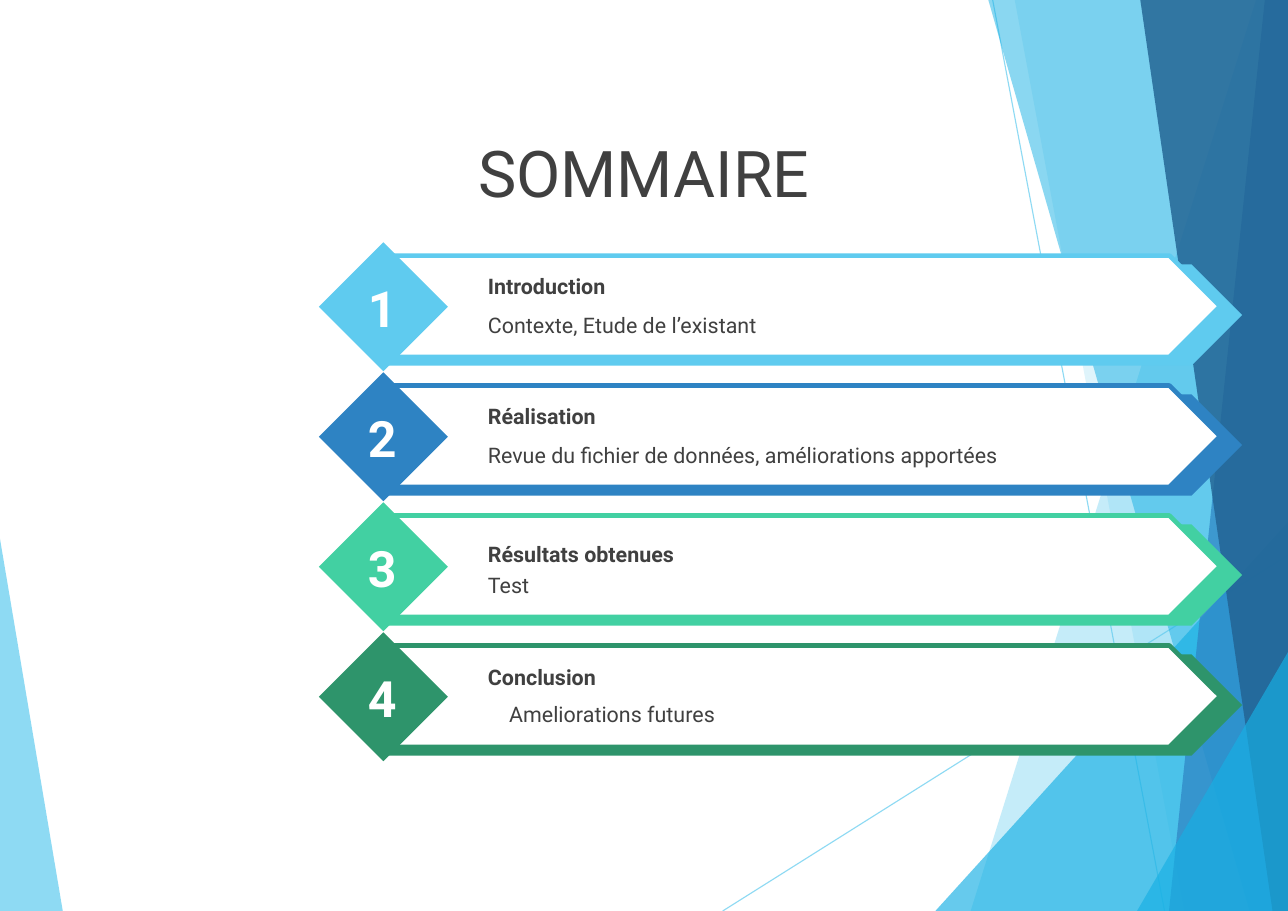
from pptx import Presentation
from pptx.dml.color import RGBColor
from pptx.enum.shapes import MSO_CONNECTOR, MSO_SHAPE
from pptx.enum.text import MSO_ANCHOR, PP_ALIGN
from pptx.oxml.ns import qn
from pptx.util import Inches, Pt

STRAIGHT = MSO_CONNECTOR.STRAIGHT
PENTAGON = MSO_SHAPE.PENTAGON
DIAMOND = MSO_SHAPE.DIAMOND
TOP, MIDDLE = MSO_ANCHOR.TOP, MSO_ANCHOR.MIDDLE
LEFT, CENTER = PP_ALIGN.LEFT, PP_ALIGN.CENTER

COLUMNS, ROWS = 116.9, 82.7
WHITE, DARK = "FFFFFF", "404040"
SKY, AZURE, BLUE, NAVY = "5FCBEF", "17B0E4", "2E83C3", "226292"
MINT, GREEN = "42D0A2", "2E946B"

FACETS = [
    (SKY, 36, [(114, 0), (88.1, ROWS), (COLUMNS, ROWS), (COLUMNS, 0)]),
    (SKY, 20, [(92.1, 0), (107.5, ROWS), (COLUMNS, ROWS), (COLUMNS, 0)]),
    (AZURE, 66, [(84.9, ROWS), (COLUMNS, 47.4), (COLUMNS, ROWS)]),
    (AZURE, 50, [(89.7, 0), (113.4, ROWS), (COLUMNS, ROWS), (COLUMNS, 0)]),
    (BLUE, 70, [(114.8, 0), (106.1, ROWS), (COLUMNS, ROWS), (COLUMNS, 0)]),
    (NAVY, 82, [(103.5, 0), (115.5, ROWS), (COLUMNS, ROWS), (COLUMNS, 0)]),
    (AZURE, 66, [(103.2, ROWS), (COLUMNS, 59.2), (COLUMNS, ROWS)]),
]
CHAPTERS = [
    (SKY, "Introduction", 2.3, "Contexte, Etude de l’existant", 0),
    (BLUE, "Réalisation", 2.3,
     "Revue du fichier de données, améliorations apportées", 0),
    (MINT, "Résultats obtenues", 3, "Test", 0),
    (GREEN, "Conclusion", 2.4, "Ameliorations futures", 1.92),
]
FIRST_ROW, ROW_PITCH = 22, 11.8


def color(value):
    return RGBColor.from_string(value)


def grid(cells):
    return Inches(cells / 10)


class SlideBuilder:
    """Draws styled elements on one slide, placed on a grid of square cells."""

    def __init__(self, presentation, font="Roboto"):
        self.font = font
        self.slide = presentation.slides.add_slide(presentation.slide_layouts[6])
        self.shapes = self.slide.shapes

    def fade(self, shape, opacity):
        for element in shape.element.spPr.iter(qn("a:srgbClr")):
            alpha = element.makeelement(qn("a:alpha"), {"val": str(opacity * 1000)})
            element.append(alpha)

    def paint(self, shape, fill, outline=None):
        shape.shadow.inherit = False
        shape.fill.solid()
        shape.fill.fore_color.rgb = color(fill)
        if outline:
            shape.line.color.rgb = color(outline)
            shape.line.width = Pt(3)
        else:
            shape.line.fill.background()

    def facet(self, fill, opacity, points):
        corners = [(grid(x), grid(y)) for x, y in points]
        builder = self.shapes.build_freeform(*corners[0])
        builder.add_line_segments(corners[1:], close=True)
        shape = builder.convert_to_shape()
        self.paint(shape, fill)
        self.fade(shape, opacity)

    def line(self, stroke, opacity, start, end):
        connector = self.shapes.add_connector(STRAIGHT, *map(grid, start + end))
        connector.line.color.rgb = color(stroke)
        connector.line.width = Pt(0.75)
        properties = connector.element.spPr
        properties.append(properties.makeelement(qn("a:effectLst"), {}))
        self.fade(connector, opacity)

    def preset(self, kind, box, fill, outline=None):
        shape = self.shapes.add_shape(kind, *map(grid, box))
        self.paint(shape, fill, outline)

    def text(self, box, words, size, ink=DARK, bold=False, align=LEFT,
             anchor=TOP, indent=0):
        text_frame = self.shapes.add_textbox(*map(grid, box)).text_frame
        text_frame.word_wrap = True
        text_frame.vertical_anchor = anchor
        text_frame.text = words
        paragraph = text_frame.paragraphs[0]
        paragraph.alignment = align
        if indent:
            paragraph._p.get_or_add_pPr().set("marL", str(grid(indent)))
        font = paragraph.runs[0].font
        font.name, font.size, font.bold = self.font, Pt(size), bold
        font.color.rgb = color(ink)

    def chapter(self, number, top, accent, heading, heading_drop, detail, indent):
        self.preset(PENTAGON, (35.15, top + 2, 77.6, 9.2), accent)
        self.preset(PENTAGON, (35.15, top + 1.2, 75.6, 9.2), WHITE, accent)
        self.preset(DIAMOND, (28.95, top, 11.7, 11.7), accent)
        self.text((32.1, top + 2.7, 5.2, 6.5), str(number), 32.7, WHITE, True,
                  CENTER, MIDDLE)
        self.text((43.3, top + heading_drop, 60.8, 3.4), heading, 14, bold=True)
        self.text((43.3, top + 5.8, 60.8, 3.4), detail, 14, indent=indent)


def main():
    presentation = Presentation()
    presentation.slide_width = grid(COLUMNS)
    presentation.slide_height = grid(ROWS)
    builder = SlideBuilder(presentation)

    builder.facet(SKY, 70, [(0, 48.9), (5.7, ROWS), (0, ROWS)])
    builder.line(SKY, 70, (65.6, ROWS), (COLUMNS, 50.4))
    builder.line(SKY, 70, (90.1, 0), (105.7, ROWS))
    for facet in FACETS:
        builder.facet(*facet)

    builder.text((0, 11.9, COLUMNS, 7.4), "SOMMAIRE", 42.1, align=CENTER,
                 anchor=MIDDLE)
    for index, chapter in enumerate(CHAPTERS):
        builder.chapter(index + 1, FIRST_ROW + index * ROW_PITCH, *chapter)

    presentation.save("out.pptx")


if __name__ == "__main__":
    main()
